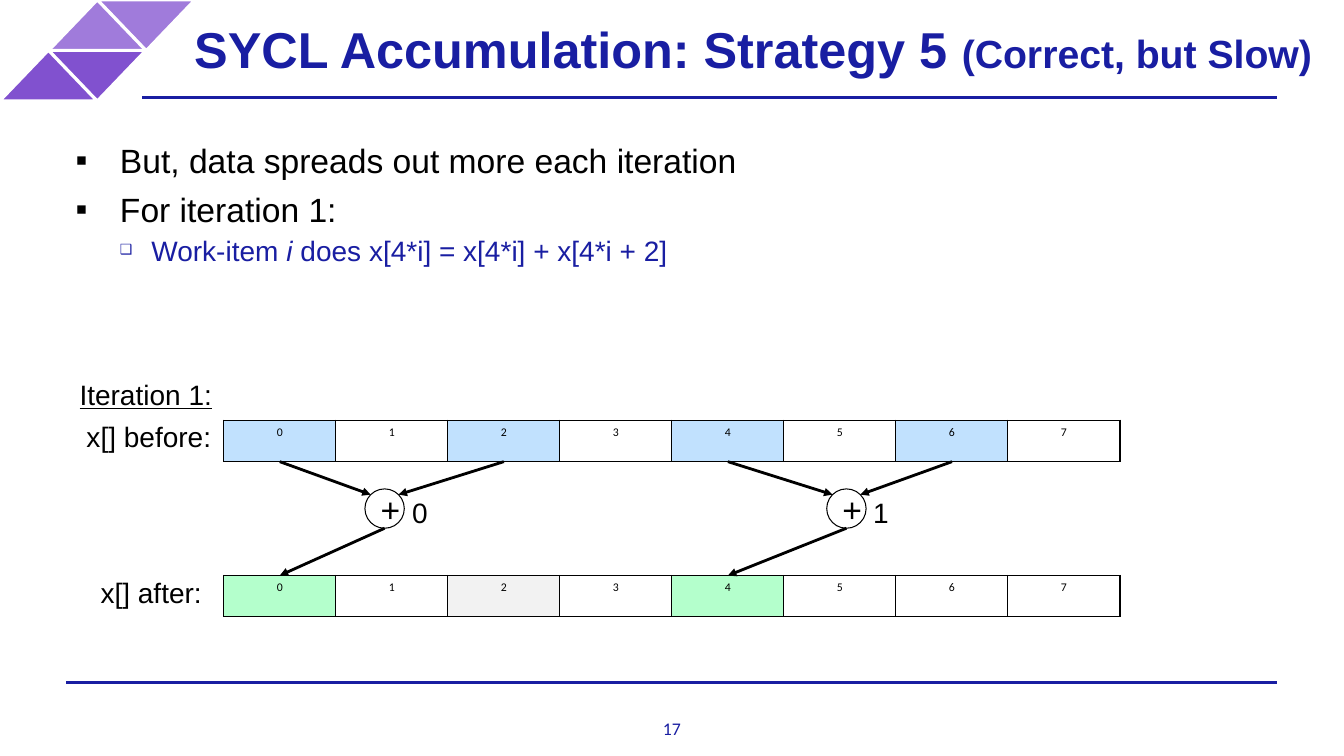
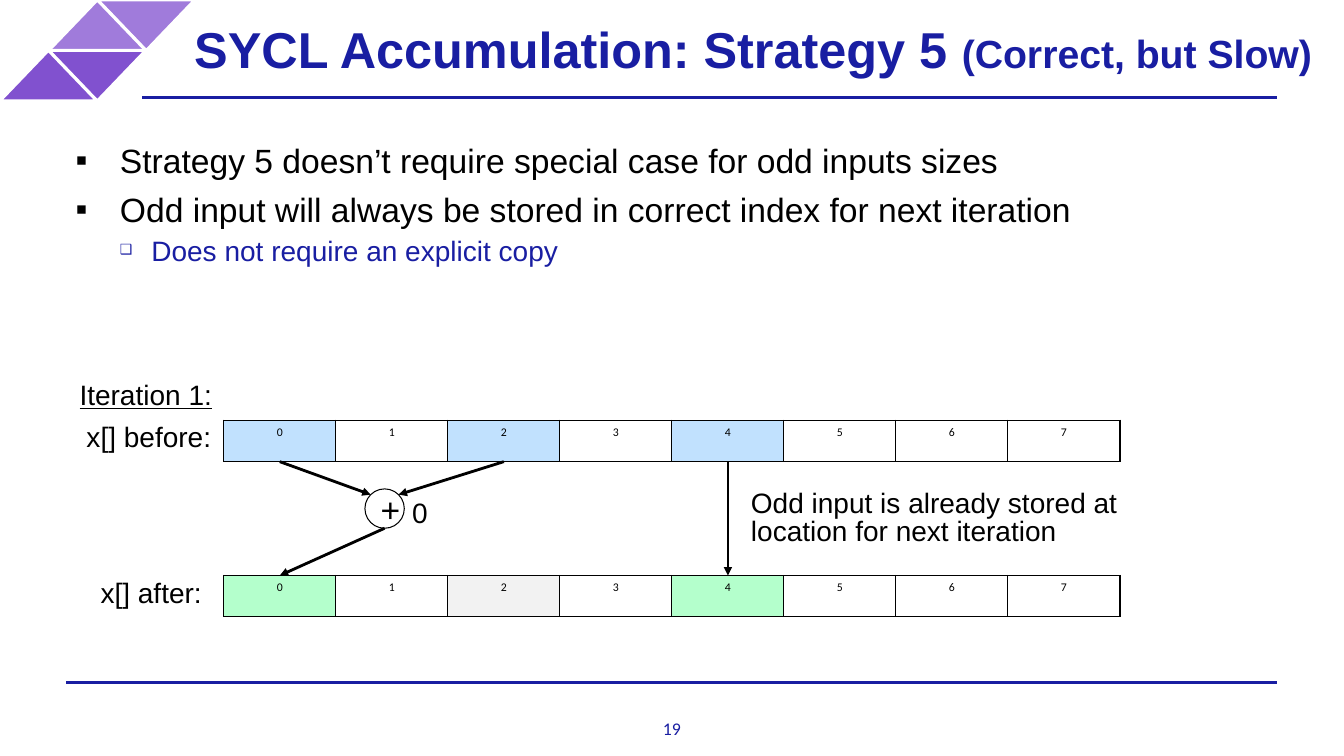
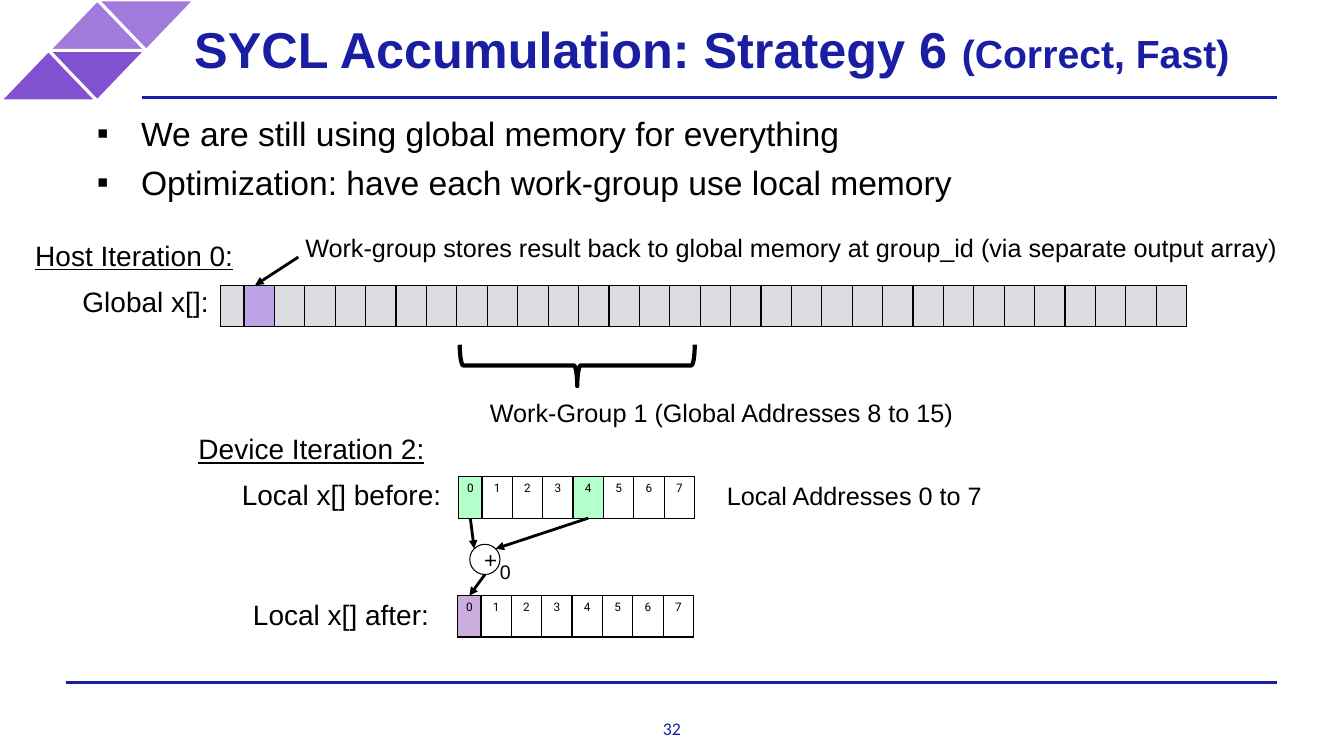
"""Builds three slides on SYCL accumulation strategies."""
import dataclasses
import math

import lxml.etree
import pptx
import pptx.dml.color
import pptx.enum.shapes
import pptx.enum.text
import pptx.oxml.ns
import pptx.util

RGBColor = pptx.dml.color.RGBColor
SHAPES = pptx.enum.shapes.MSO_SHAPE
ANCHOR = pptx.enum.text.MSO_ANCHOR
ALIGN = pptx.enum.text.PP_ALIGN
qn = pptx.oxml.ns.qn

WIDTH = pptx.util.Inches(13.33)
HEIGHT = pptx.util.Inches(7.5)

NAVY = RGBColor(0x19, 0x1E, 0xA2)
LILAC = RGBColor(0xA0, 0x7B, 0xDB)
VIOLET = RGBColor(0x81, 0x51, 0xCF)
BLACK = RGBColor(0x00, 0x00, 0x00)
WHITE = RGBColor(0xFF, 0xFF, 0xFF)
INPUT_BLUE = RGBColor(0xC1, 0xE1, 0xFE)
STORED_GREEN = RGBColor(0xB4, 0xFF, 0xCC)
STALE_GRAY = RGBColor(0xF2, 0xF2, 0xF2)
GLOBAL_GRAY = RGBColor(0xDC, 0xDD, 0xE0)
GROUP_PURPLE = RGBColor(0xBD, 0xA4, 0xE6)
RESULT_PURPLE = RGBColor(0xCA, 0xAC, 0xDD)

ROW_HEIGHT = 5.47
LABEL_HEIGHT = 5.07
BULLETS = {
    0: dict(char="▪", margin=3.75, hanging=3.3, percent=100, size=24, color=BLACK, before=6),
    1: dict(char="❑", margin=6.08, hanging=2.33, percent=50, size=20, color=NAVY, before=3),
}


@dataclasses.dataclass
class Array:
    """A one-row array of cells, measured in percent of the slide."""
    left: float
    top: float
    width: float
    count: int = 8
    first: float = 0

    @property
    def bottom(self):
        """Return the lower edge."""
        return self.top + ROW_HEIGHT

    @property
    def widths(self):
        """Return the cell widths; the first may differ from the rest."""
        first = self.first or self.width / self.count
        return [first] + [(self.width - first) / (self.count - 1)] * (self.count - 1)

    def center(self, index):
        """Return the middle of one cell."""
        return self.left + sum(self.widths[:index]) + self.widths[index] / 2


def across(percent):
    """Convert a share of the slide's width to a length."""
    return pptx.util.Emu(round(WIDTH * percent / 100))


def down(percent):
    """Convert a share of the slide's height to a length."""
    return pptx.util.Emu(round(HEIGHT * percent / 100))


def area(left, top, width, height):
    """Convert a rectangle in percent to lengths."""
    return across(left), down(top), across(width), down(height)


def add_element(parent, tag, **attributes):
    """Append an XML element and return it."""
    element = lxml.etree.SubElement(parent, qn(tag))
    for name, value in attributes.items():
        element.set(name, str(value))
    return element


def add_span(para, text, *, size=20, font="Arial", color=BLACK,
             bold=False, italic=False, underline=False):
    """Append formatted text to a paragraph."""
    span = para.add_run()
    span.text = text
    span.font.size = pptx.util.Pt(size)
    span.font.name = font
    span.font.color.rgb = color
    span.font.bold = bold
    span.font.italic = italic
    span.font.underline = underline


def add_box(slide, left, top, width, height, *, inset=None, anchor=ANCHOR.TOP):
    """Add a wrapping text box and return its frame."""
    frame = slide.shapes.add_textbox(*area(left, top, width, height)).text_frame
    frame.word_wrap = True
    frame.vertical_anchor = anchor
    if inset is not None:
        frame.margin_left = frame.margin_right = across(inset)
        frame.margin_top = frame.margin_bottom = across(inset)
    return frame


def add_label(slide, text, left, top, width, *, height=LABEL_HEIGHT, **style):
    """Add a label with fixed line spacing."""
    para = add_box(slide, left, top, width, height).paragraphs[0]
    para.line_spacing = pptx.util.Pt(20)
    add_span(para, text, **style)


def add_bullets(slide, left, top, width, height, items):
    """Add bullets given as a level followed by (text, italic) spans."""
    frame = add_box(slide, left, top, width, height, inset=0)
    for index, (level, *spans) in enumerate(items):
        para = frame.add_paragraph() if index else frame.paragraphs[0]
        look = BULLETS[level]
        para.level = level
        properties = para._p.get_or_add_pPr()
        properties.set("marL", str(across(look["margin"])))
        properties.set("indent", str(-across(look["hanging"])))
        add_element(properties, "a:buSzPct", val=look["percent"] * 1000)
        add_element(properties, "a:buFont", typeface="Arial")
        add_element(properties, "a:buChar", char=look["char"])
        if index:
            para.space_before = pptx.util.Pt(look["before"])
        for text, italic in spans:
            add_span(para, text, size=look["size"], color=look["color"], italic=italic)


def add_line(slide, start, end, *, color=BLACK, arrow=False):
    """Add a straight line between two points, with an optional arrowhead."""
    line = slide.shapes.add_connector(
        pptx.enum.shapes.MSO_CONNECTOR.STRAIGHT,
        across(start[0]), down(start[1]), across(end[0]), down(end[1]))
    line.line.color.rgb = color
    line.line.width = pptx.util.Pt(2)
    properties = line.element.spPr
    if arrow:
        add_element(properties.find(qn("a:ln")), "a:tailEnd", type="triangle")
    add_element(properties, "a:effectLst")


def add_shape(slide, kind, left, top, width, height, *, line, weight, fill=None, rotation=0):
    """Add a preset shape without a shadow."""
    shape = slide.shapes.add_shape(kind, *area(left, top, width, height))
    shape.shadow.inherit = False
    shape.rotation = rotation
    shape.line.color.rgb = line
    shape.line.width = pptx.util.Pt(weight)
    if fill is None:
        shape.fill.background()
    else:
        shape.fill.solid()
        shape.fill.fore_color.rgb = fill
    return shape


def add_array(slide, array, fills, *, base=WHITE, font="Calibri", numbered=True):
    """Draw an array as a bordered table with chosen cells filled."""
    table = slide.shapes.add_table(
        1, array.count, *area(array.left, array.top, array.width, ROW_HEIGHT)).table
    table.first_row = table.horz_banding = False
    for index, width in enumerate(array.widths):
        table.columns[index].width = across(width)
        cell = table.cell(0, index)
        cell.margin_left = cell.margin_right = cell.margin_bottom = 0
        for side in ("a:lnL", "a:lnR", "a:lnT", "a:lnB"):
            border = add_element(cell._tc.get_or_add_tcPr(), side, w=pptx.util.Pt(1))
            add_element(add_element(border, "a:solidFill"), "a:srgbClr", val=BLACK)
        cell.fill.solid()
        cell.fill.fore_color.rgb = fills.get(index, base)
        if numbered:
            para = cell.text_frame.paragraphs[0]
            para.alignment = ALIGN.CENTER
            add_span(para, str(index), size=8.4, font=font)


def add_sum(slide, before, inputs, after, output, *, center, top, diameter, size):
    """Draw a plus node with arrows from two input cells to one output cell."""
    height = diameter * WIDTH / HEIGHT
    node = add_shape(slide, SHAPES.OVAL, center - diameter / 2, top, diameter, height,
                     line=BLACK, weight=0.75)
    node.text_frame.vertical_anchor = ANCHOR.MIDDLE
    para = node.text_frame.paragraphs[0]
    para.alignment = ALIGN.LEFT
    add_span(para, "+", size=size)
    reach = math.sqrt(0.5) / 2
    for index, side in zip(inputs, (-1, 1)):
        rim = (center + side * reach * diameter, top + (0.5 - reach) * height)
        add_line(slide, (before.center(index), before.bottom), rim, arrow=True)
    add_line(slide, (center, top + height), (after.center(output), after.top), arrow=True)


def add_slide(deck, number, title, remark):
    """Add a slide with the shared ornament, rules, title and page number."""
    slide = deck.slides.add_slide(deck.slide_layouts[6])
    add_line(slide, (4.95, 90.27), (95.05, 90.27), color=NAVY)
    for step, row, rotation, fill in ((2, 0, 180, LILAC), (1, 0, 0, LILAC),
                                      (1, 1, 180, VIOLET), (0, 1, 0, VIOLET)):
        add_shape(slide, SHAPES.ISOSCELES_TRIANGLE, step * 3.64, row * 6.67, 7.2, 6.67,
                  line=WHITE, weight=2, fill=fill, rotation=rotation)
    add_line(slide, (10.58, 12.93), (95.05, 12.93), color=NAVY)
    page = add_box(slide, 47, 94.93, 6, 2.8, inset=0).paragraphs[0]
    page.alignment = ALIGN.CENTER
    add_span(page, str(number), size=12.7, font="Calibri", color=NAVY)
    heading = add_box(slide, 13.4, 0, 86.5, 12.67, inset=1.05, anchor=ANCHOR.MIDDLE)
    add_span(heading.paragraphs[0], title + " ", size=36, color=NAVY, bold=True)
    add_span(heading.paragraphs[0], remark, size=28, color=NAVY, bold=True)
    return slide


def add_strategy_five(deck, number, items, inputs, sums):
    """Add a strategy 5 slide and return it with its two arrays."""
    slide = add_slide(deck, number, "SYCL Accumulation: Strategy 5", "(Correct, but Slow)")
    add_bullets(slide, 5.18, 18.53, 93.92, 65.2, items)
    before, after = Array(16.65, 55.6, 66.69), Array(16.65, 76.13, 66.69)
    add_array(slide, before, dict.fromkeys(inputs, INPUT_BLUE))
    add_array(slide, after, {0: STORED_GREEN, 2: STALE_GRAY, 4: STORED_GREEN})
    add_label(slide, "Iteration 1:", 5.18, 50, 11.4, underline=True)
    add_label(slide, "x[] before:", 5.7, 55.6, 11.4)
    add_label(slide, "x[] after:", 6.75, 76.27, 11.4)
    for item, (center, label_left) in enumerate(sums):
        add_sum(slide, before, (4 * item, 4 * item + 2), after, 4 * item,
                center=center, top=64.67, diameter=2.93, size=24)
        add_label(slide, str(item), label_left, 65.6, 2.1)
    return slide, before, after


def add_spreading_slide(deck):
    """Add the slide on data spreading out."""
    add_strategy_five(deck, 17, [
        (0, ("But, data spreads out more each iteration", False)),
        (0, ("For iteration 1:", False)),
        (1, ("Work-item ", False), ("i ", True),
         ("does x[4*i] = x[4*i] + x[4*i + 2]", False)),
    ], (0, 2, 4, 6), [(28.62, 29.93), (62.98, 64.22)])


def add_odd_input_slide(deck):
    """Add the slide on odd input sizes."""
    slide, before, after = add_strategy_five(deck, 19, [
        (0, ("Strategy 5 doesn’t require special case for odd inputs sizes", False)),
        (0, ("Odd input will always be stored in correct index for next iteration", False)),
        (1, ("Does not require an explicit copy", False)),
    ], (0, 2, 4), [(28.62, 29.93)])
    add_line(slide, (before.center(4), before.bottom), (after.center(4), after.top), arrow=True)
    add_label(slide, "Odd input is already stored at location for next iteration",
              55.14, 64.27, 36.08, height=8.8)


def add_local_memory_slide(deck):
    """Add the slide on work-groups using local memory."""
    slide = add_slide(deck, 32, "SYCL Accumulation: Strategy 6", "(Correct, Fast)")
    add_bullets(slide, 6.75, 14.93, 90.55, 54.8, [
        (0, ("We are still using global memory for everything", False)),
        (0, ("Optimization: have each work-group use local memory", False)),
    ])
    everything = Array(16.43, 37.73, 71.87, count=32, first=1.73)
    before = Array(34.13, 63.07, 17.55, first=1.73)
    after = Array(34.06, 78.8, 17.55, first=1.73)
    add_array(slide, everything, {1: GROUP_PURPLE}, base=GLOBAL_GRAY, numbered=False)
    add_array(slide, before, {0: STORED_GREEN, 4: STORED_GREEN}, font="Roboto")
    add_array(slide, after, {0: RESULT_PURPLE}, font="Roboto")
    add_shape(slide, SHAPES.LEFT_BRACE, 41.41, 32.8, 3.08, 31.07,
              line=BLACK, weight=3, rotation=270)
    add_sum(slide, before, (0, 4), after, 0, center=36.08, top=72, diameter=2.25, size=16)
    add_line(slide, (22.2, 34), (18.98, everything.top), arrow=True)
    for text, left, top, width, style in (
        ("Host Iteration 0:", 1.88, 31.6, 17.4, dict(underline=True)),
        ("Work-group stores result back to global memory at group_id "
         "(via separate output array)", 21.98, 30.4, 77.8, dict(size=18)),
        ("Global x[]:", 5.4, 37.73, 11.4, {}),
        ("Work-Group 1 (Global Addresses 8 to 15)", 35.71, 52.13, 39.38, dict(size=18)),
        ("Device Iteration 2:", 14.03, 57.2, 18.75, dict(underline=True)),
        ("Local x[] before:", 17.25, 63.2, 16.88, {}),
        ("Local Addresses 0 to 7", 53.34, 63.2, 32.63, dict(size=18)),
        ("0", 36.46, 72.8, 2.18, dict(size=14)),
        ("Local x[] after:", 18.08, 79.07, 16.88, {}),
    ):
        add_label(slide, text, left, top, width, **style)


def main():
    """Build and save the deck."""
    deck = pptx.Presentation()
    deck.slide_width, deck.slide_height = WIDTH, HEIGHT
    add_spreading_slide(deck)
    add_odd_input_slide(deck)
    add_local_memory_slide(deck)
    deck.save("out.pptx")


if __name__ == "__main__":
    main()
